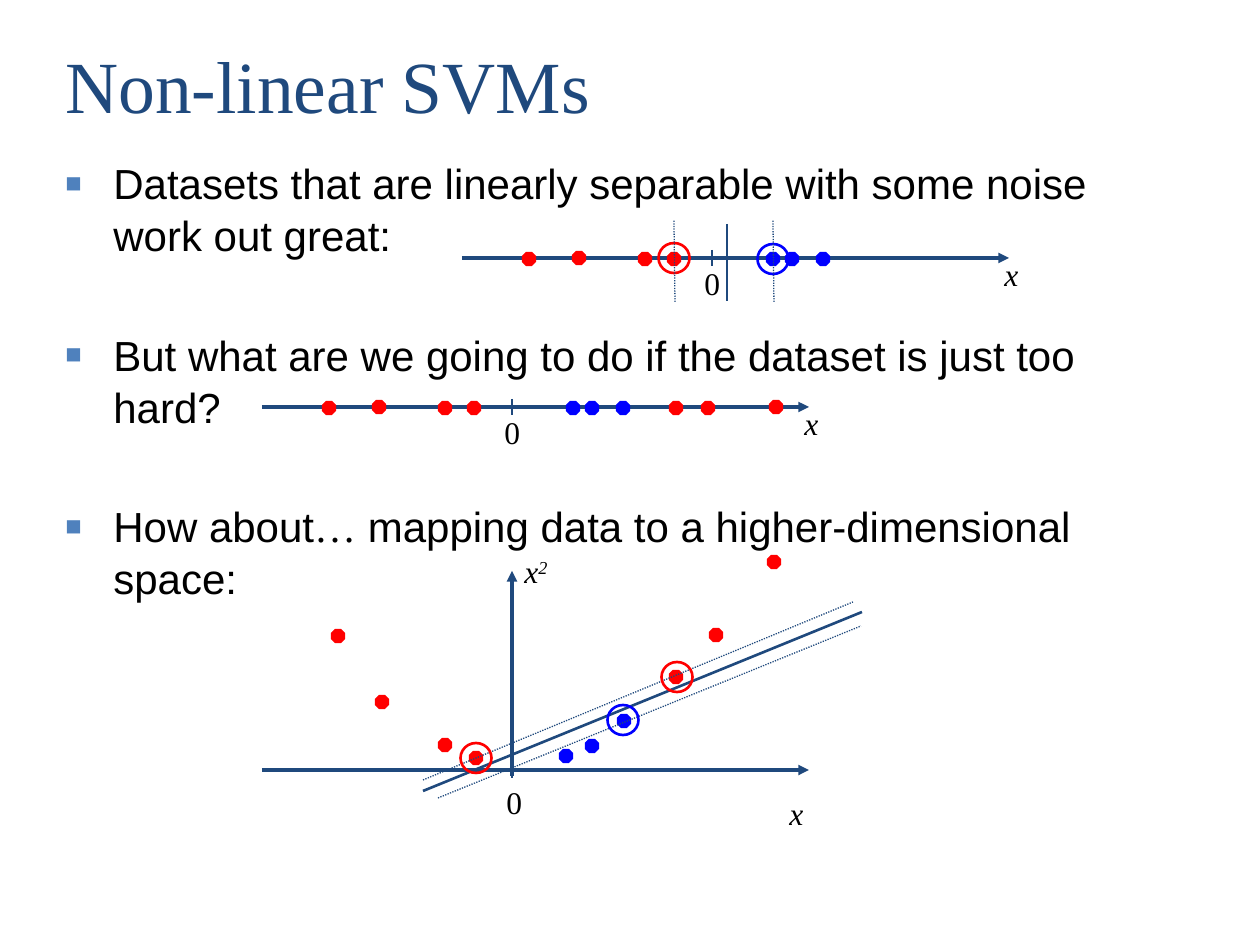
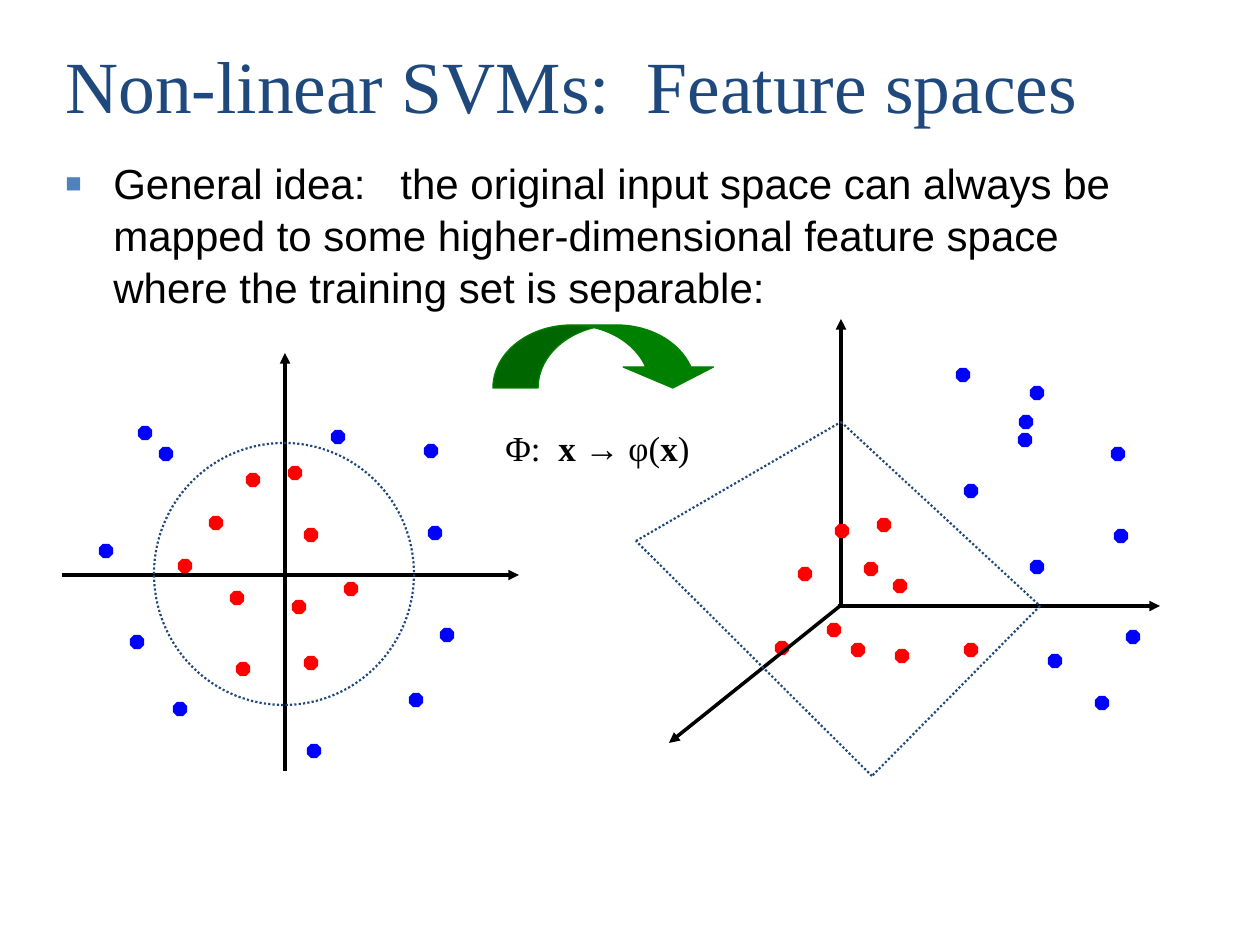
from itertools import pairwise

from lxml import etree
from pptx import Presentation
from pptx.dml.color import RGBColor
from pptx.enum.dml import MSO_LINE
from pptx.enum.shapes import MSO_CONNECTOR, MSO_SHAPE
from pptx.enum.text import MSO_ANCHOR
from pptx.oxml.ns import qn
from pptx.util import Pt

STRAIGHT = MSO_CONNECTOR.STRAIGHT
OCTAGON = MSO_SHAPE.OCTAGON
OVAL = MSO_SHAPE.OVAL
CURVED_ARROW = MSO_SHAPE.CURVED_DOWN_ARROW
MIDDLE = MSO_ANCHOR.MIDDLE
DOTTED = MSO_LINE.ROUND_DOT

EMU_PER_PIXEL = 914400 / 126
NAVY, BULLET_BLUE, BLACK = "1F497D", "4F81BD", "000000"
RED, BLUE, GREEN = "FF0000", "0000FF", "008000"
SERIF, SANS = "Times New Roman", "Arial"
DOT = 13
RING = 31
AXIS = (-250, 297)  # horizontal reach of the axes on the first slide


def px(value):
    return round(value * EMU_PER_PIXEL)


def rgb(color):
    return RGBColor.from_string(color)


# Basic parts

def add_run(paragraph, text, size, font, color=BLACK, bold=False, italic=False):
    run = paragraph.add_run()
    run.text = text
    run.font.size = Pt(size)
    run.font.name = font
    run.font.color.rgb = rgb(color)
    run.font.bold = bold
    run.font.italic = italic
    return run


def add_text_box(slide, left, top, width, height):
    box = slide.shapes.add_textbox(px(left), px(top), px(width), px(height))
    box.text_frame.word_wrap = True
    return box.text_frame


def add_label(slide, origin, offset, text, italic=False):
    frame = add_text_box(slide, origin[0] + offset[0], origin[1] + offset[1], 63, 50)
    paragraph = frame.paragraphs[0]
    add_run(paragraph, text, 18, SERIF, italic=italic)
    return paragraph


def add_line(slide, origin, start, end, color=NAVY, width=0.75, dotted=False, arrow=False):
    left, top = origin
    line = slide.shapes.add_connector(
        STRAIGHT, px(left + start[0]), px(top + start[1]),
        px(left + end[0]), px(top + end[1]))
    line.line.color.rgb = rgb(color)
    line.line.width = Pt(width)
    if dotted:
        line.line.dash_style = DOTTED
    if arrow:
        etree.SubElement(line.line._get_or_add_ln(), qn("a:tailEnd"), type="triangle")
    etree.SubElement(line._element.spPr, qn("a:effectLst"))


def add_axis(slide, origin, start, end, color=NAVY):
    add_line(slide, origin, start, end, color, width=2, arrow=True)


def add_centered(slide, kind, origin, center, width, height, color, line_width):
    shape = slide.shapes.add_shape(
        kind, px(origin[0] + center[0] - width / 2),
        px(origin[1] + center[1] - height / 2), px(width), px(height))
    shape.shadow.inherit = False
    shape.fill.background()
    shape.line.color.rgb = rgb(color)
    shape.line.width = Pt(line_width)
    return shape


def add_dots(slide, origin, color, centers):
    for center in centers:
        dot = add_centered(slide, OCTAGON, origin, center, DOT, DOT, color, 0.75)
        dot.fill.solid()
        dot.fill.fore_color.rgb = rgb(color)


def add_ring(slide, origin, center, color):
    add_centered(slide, OVAL, origin, center, RING, RING - 1, color, 1.5)


# Shared slide frame

def add_title(slide, text, width):
    frame = add_text_box(slide, 53, 32, width, 104)
    frame.vertical_anchor = MIDDLE
    add_run(frame.paragraphs[0], text, 42, SERIF, NAVY)


def add_bullet(paragraph):
    properties = paragraph._p.get_or_add_pPr()
    properties.set("marL", str(px(48)))
    properties.set("indent", str(px(-48)))
    color = etree.SubElement(properties, qn("a:buClr"))
    etree.SubElement(color, qn("a:srgbClr"), val=BULLET_BLUE)
    etree.SubElement(properties, qn("a:buSzPct"), val="65000")
    etree.SubElement(properties, qn("a:buFont"), typeface=SANS)
    etree.SubElement(properties, qn("a:buChar"), char="■")


def add_body(slide, items):
    """Each item is a list of (text, font) pairs."""
    frame = add_text_box(slide, 53, 147, 1134, 693)
    frame.margin_top = px(9)
    for index, item in enumerate(items):
        paragraph = frame.add_paragraph() if index else frame.paragraphs[0]
        paragraph.line_spacing = 1.035
        paragraph.space_before = px(68) if index else 0
        add_bullet(paragraph)
        for text, font in item:
            add_run(paragraph, text, 24, font)


def add_slide(presentation, title, title_width, items):
    slide = presentation.slides.add_slide(presentation.slide_layouts[6])
    add_title(slide, title, title_width)
    add_body(slide, items)
    return slide


# Plots: every offset is measured from the origin of the axes

def add_number_line(slide, origin, far_red=()):
    add_axis(slide, origin, (AXIS[0], 0), (AXIS[1], 0))
    add_line(slide, origin, (0, -8), (0, 8))
    add_label(slide, origin, (-20, 0), "0")
    add_dots(slide, origin, RED, [(-183, 1), (-133, 0), (-67, 1), (-38, 1)])
    add_dots(slide, origin, BLUE, [(61, 1), (80, 1), (111, 1)])
    add_dots(slide, origin, RED, far_red)
    add_label(slide, origin, (280, -9), "x", italic=True)


def add_margin(slide, origin):
    add_line(slide, origin, (15, -34), (15, 43), width=1.5)
    for center, color in [((61, 1), BLUE), ((-38, 0), RED)]:
        add_ring(slide, origin, center, color)
        add_line(slide, origin, (center[0] + 1, 44), (center[0], -38), dotted=True)


def add_mapped_plot(slide, origin):
    add_axis(slide, origin, (AXIS[0], 0), (AXIS[1], 0))
    add_line(slide, origin, (0, -8), (0, 8))
    add_dots(slide, origin, RED, [
        (-174, -134), (-130, -68), (-67, -25), (-36, -12),
        (164, -93), (204, -135), (262, -208)])
    add_dots(slide, origin, BLUE, [(54, -14), (80, -24), (112, -49)])
    add_axis(slide, origin, (0, 6), (0, -199))
    # Separator with its margins
    add_line(slide, origin, (-89, 21), (350, -158), width=1.5)
    add_line(slide, origin, (-89, 10), (341, -168), dotted=True)
    add_line(slide, origin, (-74, 28), (349, -144), dotted=True)
    for center, color in [((165, -93), RED), ((111, -50), BLUE), ((-36, -12), RED)]:
        add_ring(slide, origin, center, color)
    # Labels
    add_label(slide, origin, (-18, 7), "0")
    add_label(slide, origin, (265, 18), "x", italic=True)
    square = add_label(slide, origin, (0, -224), "x", italic=True)
    exponent = add_run(square, "2", 18, SERIF, italic=True)
    exponent._r.get_or_add_rPr().set("baseline", "30000")


def add_input_space(slide, origin):
    add_axis(slide, origin, (0, 196), (0, -222), BLACK)
    add_axis(slide, origin, (-223, 0), (234, 0), BLACK)
    add_dots(slide, origin, RED, [
        (10, -102), (-69, -52), (-48, 23), (26, 88), (-32, -95),
        (-100, -9), (-42, 94), (26, -40), (66, 14), (14, 32)])
    add_dots(slide, origin, BLUE, [
        (150, -42), (131, 125), (-179, -24), (29, 176), (162, 60), (-105, 134),
        (-148, 67), (-140, -142), (53, -138), (-119, -121), (146, -124)])
    boundary = add_centered(slide, OVAL, origin, (-1, -1), 260, 262, NAVY, 1.25)
    boundary.line.dash_style = DOTTED


def add_feature_space(slide, origin):
    add_axis(slide, origin, (0, -2), (0, -287), BLACK)
    add_axis(slide, origin, (-3, 0), (319, 0), BLACK)
    add_dots(slide, origin, RED, [
        (43, -81), (-36, -32), (17, 44), (130, 44), (1, -75),
        (30, -37), (61, 50), (59, -20), (-7, 24), (-59, 42)])
    add_dots(slide, origin, BLUE, [
        (280, -70), (261, 97), (196, -213), (196, -39), (292, 31), (130, -115),
        (214, 55), (185, -184), (184, -166), (122, -231), (277, -152)])
    add_axis(slide, origin, (-1, 0), (-172, 137), BLACK)
    # Separating plane
    corners = [(0, -184), (199, 0), (31, 170), (-205, -65)]
    for start, end in pairwise(corners + corners[:1]):
        add_line(slide, origin, start, end, width=1.25, dotted=True)


def add_mapping(slide, left, top):
    arrow = add_centered(slide, CURVED_ARROW, (left, top), (112.5, 31.5),
                         225, 63, GREEN, 0.75)
    arrow.fill.solid()
    arrow.fill.fore_color.rgb = rgb(GREEN)
    for index, value in enumerate((0.717, 1.433, 0.333)):
        arrow.adjustments[index] = value
    frame = add_text_box(slide, left, top + 95, 262, 54)
    for text, bold in [("Φ:  ", False), ("x → ", True), ("φ(", False),
                       ("x", True), (")", False)]:
        add_run(frame.paragraphs[0], text, 20, SERIF, bold=bold)


# Slides

def build_datasets_slide(presentation):
    slide = add_slide(presentation, "Non-linear SVMs", 661, [
        [("Datasets that are linearly separable with some noise work out great:", SANS)],
        [("But what are we going to do if the dataset is just too hard? ", SANS)],
        [("How about", SANS), ("…", SERIF),
         (" mapping data to a higher-dimensional space:", SANS)]])
    add_number_line(slide, (512, 407), [(164, 1), (196, 1), (264, 0)])
    separable = (712, 258)
    add_number_line(slide, separable)
    add_margin(slide, separable)
    add_mapped_plot(slide, (512, 770))


def build_feature_slide(presentation):
    slide = add_slide(presentation, "Non-linear SVMs:  Feature spaces", 1071, [
        [("General idea:   the original input space can always be mapped to some "
          "higher-dimensional feature space where the training set is separable:", SANS)]])
    add_input_space(slide, (285, 575))
    add_feature_space(slide, (841, 606))
    add_mapping(slide, 493, 325)


presentation = Presentation()
presentation.slide_width = px(1260)
presentation.slide_height = px(945)
build_datasets_slide(presentation)
build_feature_slide(presentation)
presentation.save("out.pptx")
